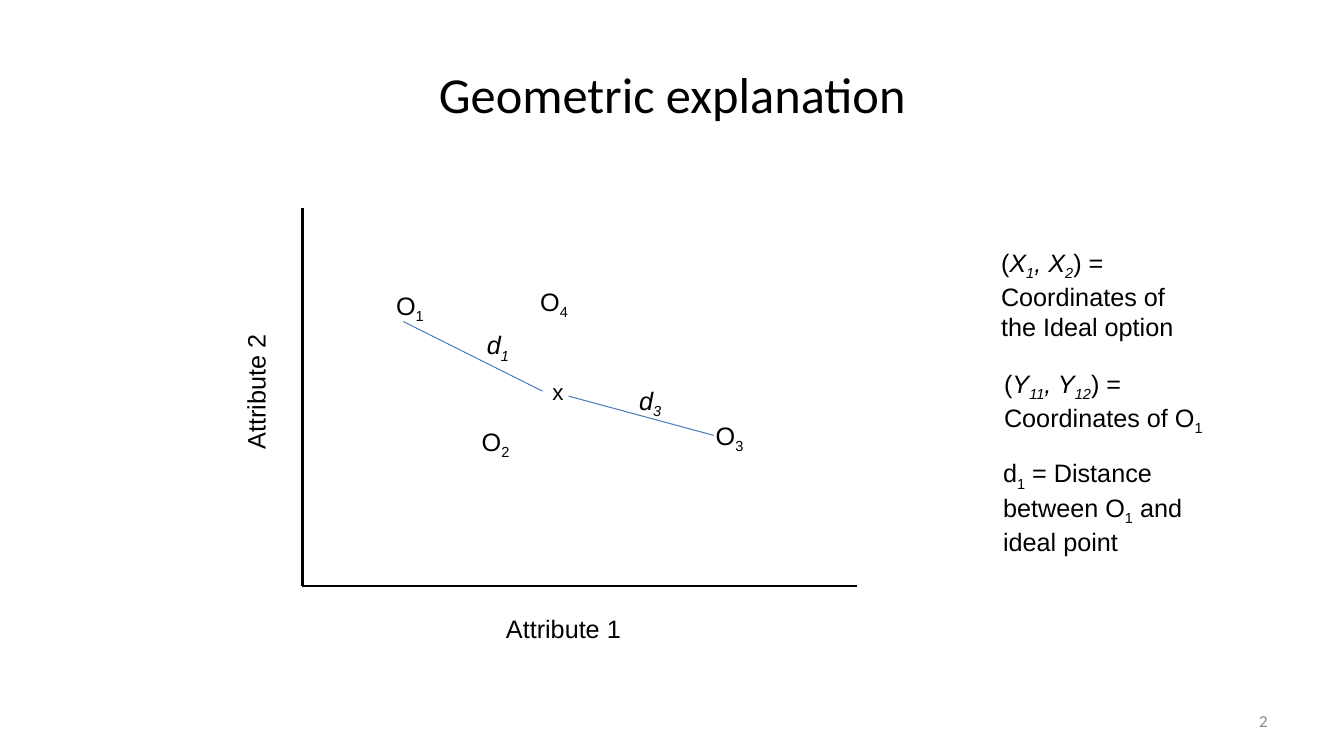
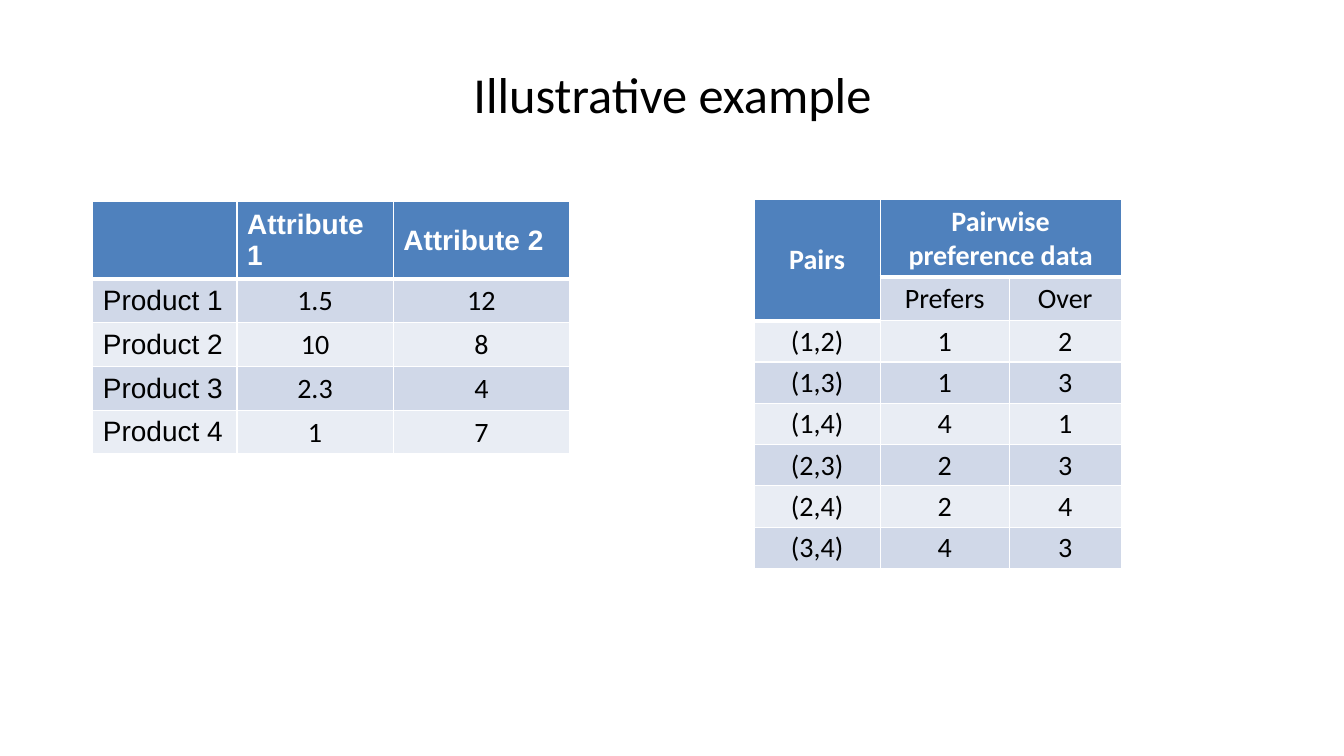
from lxml import etree
from pptx import Presentation
from pptx.dml.color import RGBColor
from pptx.enum.shapes import MSO_CONNECTOR
from pptx.enum.text import MSO_ANCHOR, PP_ALIGN
from pptx.oxml.ns import qn
from pptx.util import Emu, Pt

PX = 9144  # 100 px to the inch
STRAIGHT = MSO_CONNECTOR.STRAIGHT
TOP, MIDDLE = MSO_ANCHOR.TOP, MSO_ANCHOR.MIDDLE
LEFT, CENTER, RIGHT = PP_ALIGN.LEFT, PP_ALIGN.CENTER, PP_ALIGN.RIGHT
COLORS = {
    "text": "000000", "white": "FFFFFF", "muted": "898989", "distance": "4B7EBC",
    "header": "4F81BD", "band_dark": "D0D8E8", "band_light": "E9EDF4",
}

# Content: *...* is italic, ~...~ is subscript
TITLE_BOX = (67, 30, 1200, 125)
NUMBER_BOX = (956, 695, 311, 40)
AXES = [(300, 206, 300, 581), (300, 581, 850, 581)]
AXIS_LABELS = [("Attribute 1", (492, 604, 135, 40), 0),
               ("Attribute 2", (186, 368, 135, 40), 270)]
DISTANCES = [(400, 319, 538, 388), (564, 393, 708, 432)]
LABELS = [
    ("O~1~", (383, 283, 67, 40)),
    ("O~2~", (468, 418, 67, 40)),
    ("O~3~", (700, 412, 67, 40)),
    ("O~4~", (526, 279, 67, 40)),
    ("*d~1~*", (473, 322, 61, 40)),
    ("*d~3~*", (624, 377, 61, 40)),
    ("(*X~1~, X~2~*) = Coordinates of the Ideal option", (983, 240, 192, 101)),
    ("(*Y~11~, Y~12~*) = Coordinates of O~1~", (986, 360, 239, 71)),
    ("d~1~ = Distance between O~1~ and ideal point", (985, 449, 239, 101)),
]
IDEAL_POINT = ("x", (538, 370, 38, 37))

ROW_HEIGHT = 41
TABLES = [
    {"at": (92, 200), "cols": (143, 155, 175), "font": "Arial", "align": LEFT,
     "merges": [],
     "rows": [("", "Attribute 1", "Attribute 2"),
              ("Product 1", "1.5", "12"),
              ("Product 2", "10", "8"),
              ("Product 3", "2.3", "4"),
              ("Product 4", "1", "7")]},
    {"at": (748, 198), "cols": (125, 128, 111), "font": "Calibri", "align": CENTER,
     "merges": [((0, 0), (1, 0)), ((0, 1), (0, 2))],
     "rows": [("Pairs", "Pairwise preference data", ""),
              ("", "Prefers", "Over"),
              ("(1,2)", "1", "2"),
              ("(1,3)", "1", "3"),
              ("(1,4)", "4", "1"),
              ("(2,3)", "2", "3"),
              ("(2,4)", "2", "4"),
              ("(3,4)", "4", "3")]},
]


def px(*values):
    return [Emu(v * PX) for v in values]


def rgb(name):
    return RGBColor.from_string(COLORS[name])


def style(p, size, font, color="text", align=LEFT, bold=False):
    p.alignment = align
    p.font.size, p.font.name, p.font.bold = Pt(size), font, bold
    p.font.color.rgb = rgb(color)


def add_runs(p, text):
    for i, part in enumerate(text.split("*")):
        for j, piece in enumerate(part.split("~")):
            if piece:
                r = p.add_run()
                r.text = piece
                if i % 2:
                    r.font.italic = True
                if j % 2:
                    r._r.get_or_add_rPr().set("baseline", "-25000")


def add_text(s, text, box, size=18, font="Arial", color="text", align=LEFT,
             anchor=TOP, wrap=True):
    sp = s.shapes.add_textbox(*px(*box))
    tf = sp.text_frame
    tf.word_wrap, tf.vertical_anchor = wrap, anchor
    p = tf.paragraphs[0]
    style(p, size, font, color, align)
    add_runs(p, text)
    return sp


def add_line(s, ends, color, width):
    line = s.shapes.add_connector(STRAIGHT, *px(*ends))
    line.line.color.rgb, line.line.width = rgb(color), Pt(width)
    etree.SubElement(line._element.spPr, qn("a:effectLst"))


def set_borders(cell, widths):
    """Widths in points by side, in the order L, R, T, B."""
    tc_pr = cell._tc.get_or_add_tcPr()
    for i, (side, width) in enumerate(widths.items()):
        ln = etree.Element(qn("a:ln" + side), w=str(Pt(width)))
        fill = etree.SubElement(ln, qn("a:solidFill"))
        etree.SubElement(fill, qn("a:srgbClr"), val=COLORS["white"])
        tc_pr.insert(i, ln)


def fill_cell(cell, text, row, font, align):
    header = row == 0 or cell.is_spanned
    band = "band_dark" if row % 2 else "band_light"
    cell.fill.solid()
    cell.fill.fore_color.rgb = rgb("header" if header else band)
    cell.vertical_anchor = MIDDLE
    if text and not text[0].isalpha():  # numbers and pairs
        font, align = "Calibri", CENTER
        cell.margin_left, cell.margin_top, cell.margin_right, cell.margin_bottom = px(1, 1, 1, 0)
    p = cell.text_frame.paragraphs[0]
    style(p, 20, font, "white" if header else "text", align, header)
    add_runs(p, text)
    widths = {"L": 1, "R": 1}
    if row == 0:
        widths["T"] = 1
    widths["B"] = 3 if header else 1
    set_borders(cell, widths)


def add_data_table(s, data):
    rows, cols = data["rows"], data["cols"]
    size = (sum(cols), ROW_HEIGHT * len(rows))
    table = s.shapes.add_table(len(rows), len(cols), *px(*data["at"], *size)).table
    for column, width in zip(table.columns, px(*cols)):
        column.width = width
    for first, last in data["merges"]:
        table.cell(*first).merge(table.cell(*last))
    for i, row in enumerate(rows):
        for j, text in enumerate(row):
            fill_cell(table.cell(i, j), text, i, data["font"], data["align"])


def add_slide(prs, title):
    s = prs.slides.add_slide(prs.slide_layouts[6])
    add_text(s, title, TITLE_BOX, 36, "Calibri", align=CENTER, anchor=MIDDLE)
    return s


def main():
    prs = Presentation()
    prs.slide_width, prs.slide_height = px(1333, 750)

    # Attribute space with distances to the ideal point
    s = add_slide(prs, "Geometric explanation")
    add_text(s, "2", NUMBER_BOX, 12, "Calibri", "muted", RIGHT, MIDDLE)
    for ends in AXES:
        add_line(s, ends, "text", 1.5)
    for text, box, angle in AXIS_LABELS:
        add_text(s, text, box, wrap=False).rotation = angle
    for ends in DISTANCES:
        add_line(s, ends, "distance", 0.75)
    for text, box in LABELS:
        add_text(s, text, box)
    add_text(s, *IDEAL_POINT, size=16)

    # Product attributes and pairwise preferences
    s = add_slide(prs, "Illustrative example")
    for data in TABLES:
        add_data_table(s, data)

    prs.save("out.pptx")


if __name__ == "__main__":
    main()
